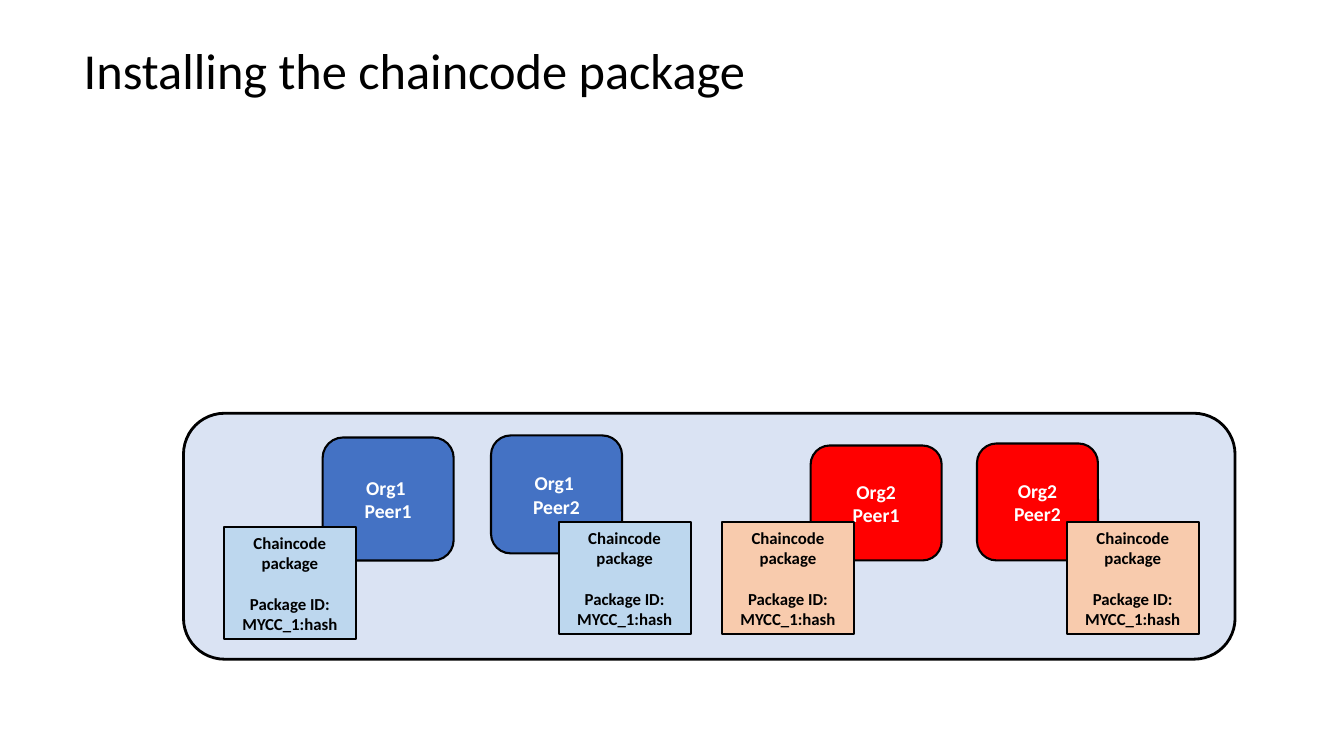
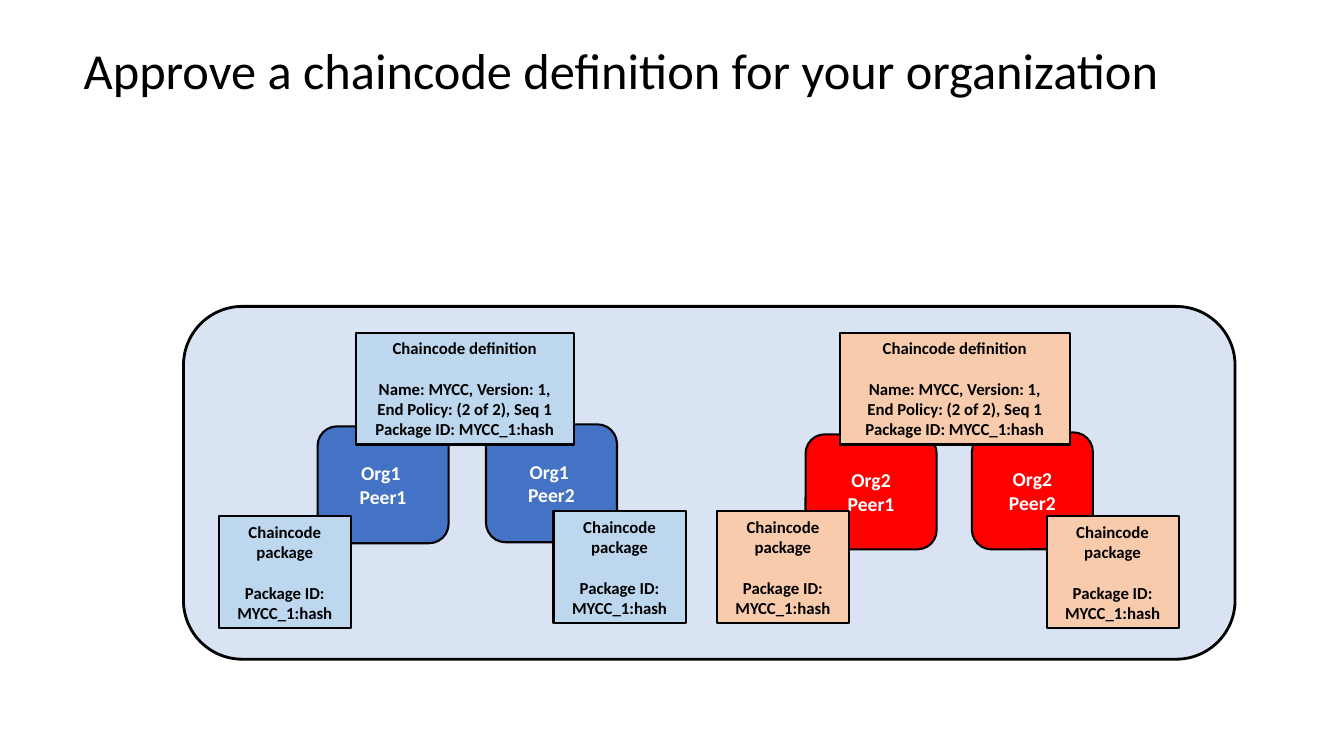
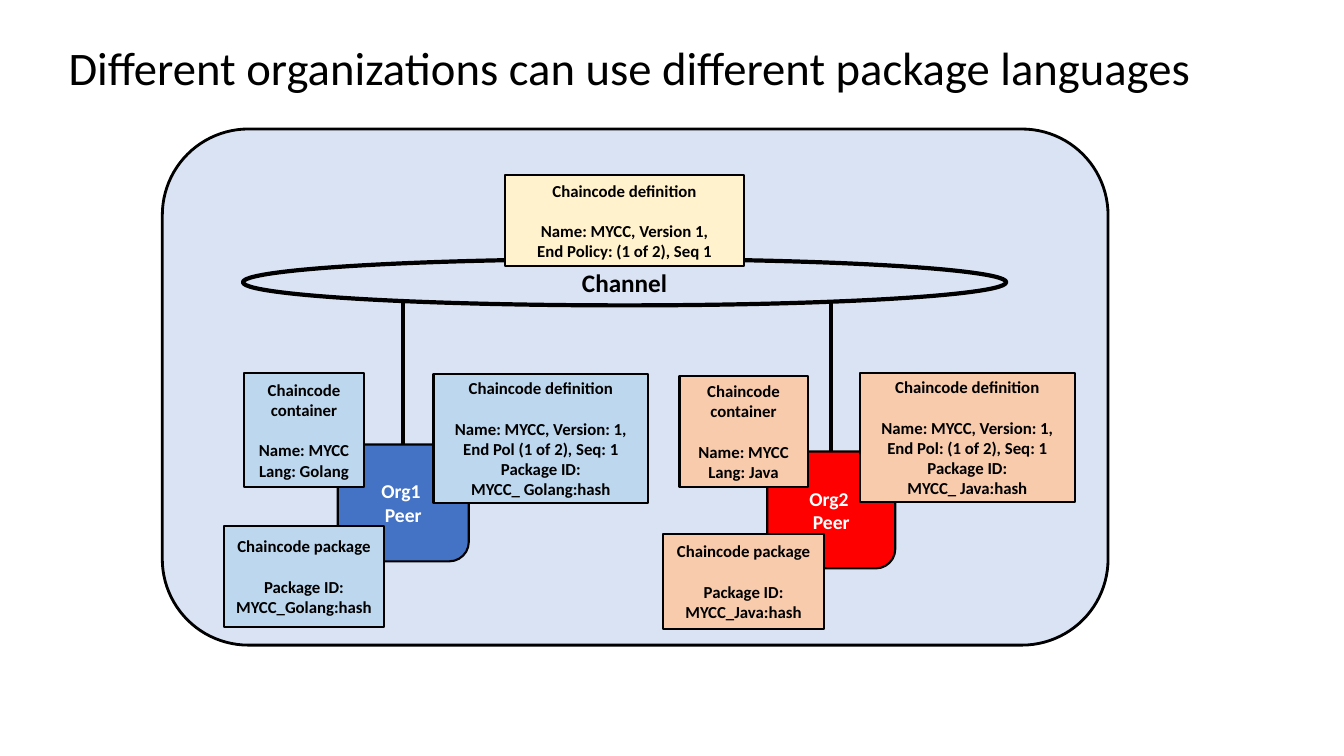
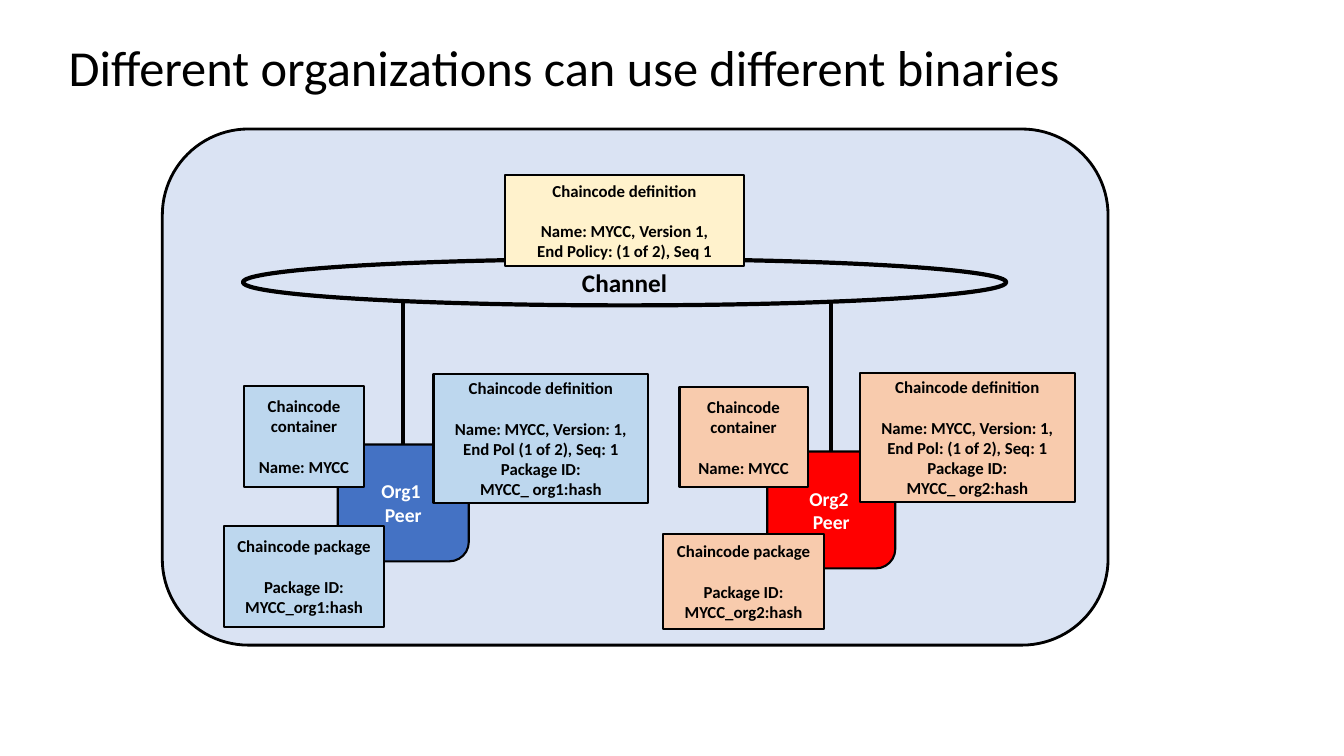
from pptx import Presentation
from pptx.dml.color import RGBColor
from pptx.enum import shapes, text
from pptx.oxml import parse_xml
from pptx.oxml.ns import nsdecls
from pptx.util import Inches, Pt

FONT = "Calibri"
BLACK, WHITE = "000000", "FFFFFF"
PANEL, CREAM = "DAE3F3", "FFF2CC"
PEER = {1: "4472C4", 2: "FF0000"}
CARD = {1: "BDD7EE", 2: "F8CBAD"}
ROUND, OVAL = shapes.MSO_SHAPE.ROUNDED_RECTANGLE, shapes.MSO_SHAPE.OVAL
LEAD = 14.65  # height of one 12 pt line, left open below a card's heading


def rgb(code):
    """Turn a hex string into a colour."""
    return RGBColor.from_string(code)


def style(para, size, ink, bold):
    """Format every run of a paragraph."""
    for run in para.runs:
        font = run.font
        font.name, font.size, font.bold = FONT, Pt(size), bold
        font.color.rgb = rgb(ink)


def place(box, dx, dy, wide, high):
    """Give a box measured from the corner of another box."""
    return box[0] + dx, box[1] + dy, wide, high


def shape(slide, box, fill, width, lines=(), size=12, ink=BLACK, kind=ROUND):
    """Draw an outlined shape with centred bold lines of text."""
    item = slide.shapes.add_shape(kind, *map(Inches, box))
    item.shadow.inherit = False
    if fill:
        item.fill.solid()
        item.fill.fore_color.rgb = rgb(fill)
    else:
        item.fill.background()
    item.line.color.rgb = rgb(BLACK)
    item.line.width = Pt(width)
    frame = item.text_frame
    frame.word_wrap = True
    frame.vertical_anchor = text.MSO_ANCHOR.MIDDLE
    frame.text = "\n".join(lines)
    for para in frame.paragraphs:
        para.alignment = text.PP_ALIGN.CENTER
        style(para, size, ink, True)
    return item


def card(slide, box, fill, lines):
    """Draw a square-cornered card: a heading, a gap, then details."""
    item = shape(slide, box, fill, 1.5, lines)
    item.adjustments[0] = 0
    item.text_frame.paragraphs[0].space_after = Pt(LEAD)


def peer(slide, box, org, lines):
    """Draw a peer in the colour of its organization."""
    shape(slide, box, PEER[org], 1.5, lines, 14, WHITE)


def link(slide, x, top, end):
    """Draw a vertical line."""
    line = slide.shapes.add_connector(
        shapes.MSO_CONNECTOR.STRAIGHT, *map(Inches, (x, top, x, end)))
    line.line.color.rgb = rgb(BLACK)
    line.line.width = Pt(3)
    line._element.spPr.append(parse_xml(f"<a:effectLst {nsdecls('a')}/>"))


def start(deck, words, left, top, size=36):
    """Add a slide with its title."""
    slide = deck.slides.add_slide(deck.slide_layouts[5])
    title = slide.shapes.title
    title.left, title.top = Inches(left), Inches(top)
    title.width, title.height = Inches(11.5), Inches(0.95)
    frame = title.text_frame
    frame.text = words
    frame.word_wrap = True
    frame.auto_size = text.MSO_AUTO_SIZE.NONE
    frame.vertical_anchor = text.MSO_ANCHOR.MIDDLE
    frame.margin_left = frame.margin_right = Inches(0.05)
    frame.margin_top = frame.margin_bottom = Inches(0.05)
    para = frame.paragraphs[0]
    para.alignment = text.PP_ALIGN.LEFT
    para.line_spacing = 0.9
    style(para, size, BLACK, False)
    return slide


def peers(slide, box, dx, dy, first, last):
    """Draw four peers with packages; first is a height, last a card's place."""
    shape(slide, box, PANEL, 2)
    base = place(box, dx, dy, 0, 0)
    for org, x, y, wide, high, lines in (
            (1, 0.98, 0.02, 1.3, first, ("Org1 ", "Peer1")),
            (1, 2.65, 0, 1.3, 1.17, ("Org1 ", "Peer2")),
            (2, 5.82, 0.1, 1.3, 1.14, ("Org2", "Peer1")),
            (2, 7.47, 0.08, 1.2, 1.16, ("Org2 Peer2",))):
        peer(slide, place(base, x, y, wide, high), org, lines)
    for org, x, y in ((1, 0, 0.91), (1, 3.32, 0.86), (2, 4.94, 0.86), (2, *last)):
        card(slide, place(base, x, y, 1.31, 1.11), CARD[org],
             ("Chaincode package", "Package ID: MYCC_1:hash"))


def approve(slide, box):
    """Lay each organization's definition over its peers."""
    for org, x, wide in ((2, 6.51, 2.28), (1, 1.71, 2.16)):
        card(slide, place(box, x, 0.26, wide, 1.11), CARD[org],
             ("Chaincode definition", "Name: MYCC, Version: 1,",
              "End Policy: (2 of 2), Seq 1", "Package ID: MYCC_1:hash"))


# Boxes per organization, measured from the panel: peer, package, definition,
# then the container's left, width and height, and the top of the link.
PARTS = {
    1: ((1.74, 3.13, 1.3, 1.16), (0.61, 3.94, 1.59, 1), (2.69, 2.43, 2.13, 1.28),
        (0.81, 1.19, 1.13, 1), 1.69),
    2: ((6, 3.2, 1.27, 1.16), (4.97, 4.02, 1.59, 0.94), (6.92, 2.42, 2.13, 1.28),
        (5.13, 1.27, 1.1, 0.99), 1.72),
}
POLICY = {1: "End Pol (1 of 2), Seq: 1", 2: "End Pol: (1 of 2), Seq: 1"}


def member(slide, box, org, label, lang):
    """Draw one organization's peer, link and three cards."""
    node, pack, define, (left, wide, tall, low), top = PARTS[org]
    node = place(box, *node)
    peer(slide, node, org, (f"Org{org} ", "Peer"))
    link(slide, node[0] + node[2] / 2, box[1] + top, node[1])
    card(slide, place(box, *pack), CARD[org],
         ("Chaincode package", f"Package ID: MYCC_{label}:hash"))
    high = tall if lang else low
    lines = ["Chaincode container", "Name: MYCC"]
    if lang:
        lines.append(f"Lang: {label}")
    card(slide, place(box, left, 3.55 - high, wide, high), CARD[org], lines)
    card(slide, place(box, *define), CARD[org],
         ("Chaincode definition", "Name: MYCC, Version: 1,", POLICY[org],
          "Package ID:", f"MYCC_ {label}:hash"))


def channel(slide, box, labels, lang):
    """Draw a channel that joins two organizations."""
    shape(slide, box, PANEL, 2)
    shape(slide, place(box, 0.8, 1.29, 7.57, 0.46), None, 3, ("Channel",), 18, kind=OVAL)
    card(slide, place(box, 3.4, 0.46, 2.37, 0.9), CREAM,
         ("Chaincode definition", "Name: MYCC, Version 1,", "End Policy: (1 of 2), Seq 1"))
    for org, label in enumerate(labels, 1):
        member(slide, box, org, label, lang)


def main():
    """Build the deck."""
    deck = Presentation()
    deck.slide_width, deck.slide_height = Inches(13.33), Inches(7.5)

    slide = start(deck, "Installing the chaincode package", 0.78, 0.25)
    peers(slide, (1.82, 4.1, 10.43, 2.44), 0.4, 0.22, 1.22, (8.36, 0.86))

    slide = start(deck, "Approve a chaincode definition for your organization", 0.78, 0.25)
    box = (1.82, 3.04, 10.43, 3.5)
    peers(slide, box, 0.35, 1.17, 1.16, (8.21, 0.91))
    approve(slide, box)

    box = (1.61, 1.28, 9.38, 5.12)
    for words, size, labels, lang in (
            ("Different organizations can use different package languages",
             33.3, ("Golang", "Java"), True),
            ("Different organizations can use different binaries",
             36, ("org1", "org2"), False)):
        channel(start(deck, words, 0.63, 0.22, size), box, labels, lang)

    deck.save("out.pptx")


main()
